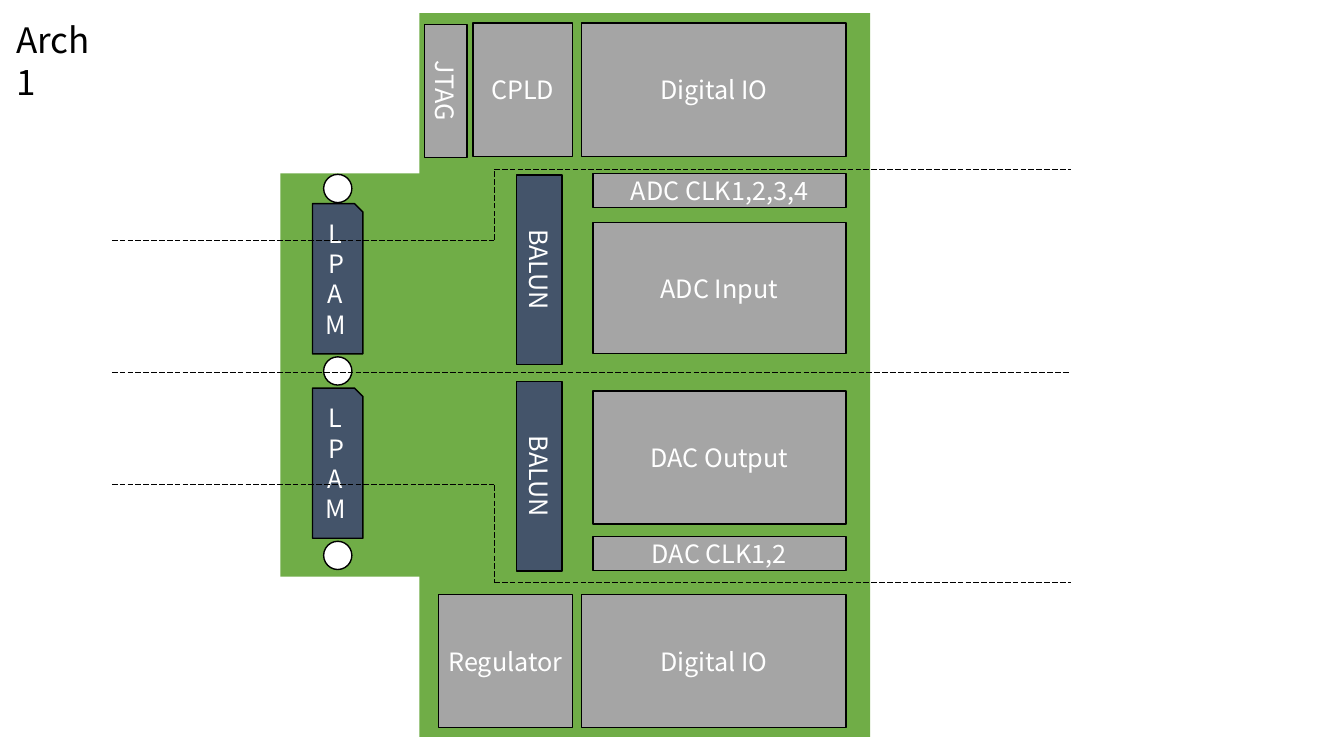
from dataclasses import dataclass

from lxml.etree import SubElement
from pptx import Presentation
from pptx.dml.color import RGBColor
from pptx.enum.dml import MSO_LINE
from pptx.enum.shapes import MSO_CONNECTOR, MSO_SHAPE
from pptx.enum.text import MSO_ANCHOR, PP_ALIGN
from pptx.oxml.ns import qn
from pptx.util import Inches, Pt


@dataclass(frozen=True)
class Theme:
    font: str = "Noto Sans CJK KR"
    black: RGBColor = RGBColor(0, 0, 0)
    white: RGBColor = RGBColor(255, 255, 255)
    board: RGBColor = RGBColor(0x70, 0xAD, 0x47)
    block: RGBColor = RGBColor(0xA5, 0xA5, 0xA5)
    analog: RGBColor = RGBColor(0x44, 0x54, 0x6A)
    title_size: Pt = Pt(25)
    label_size: Pt = Pt(18)
    outline: Pt = Pt(1)
    divider: Pt = Pt(0.5)


theme = Theme()


def add_part(shapes, preset, box, fill, label="", outlined=True, rotation=0):
    """Add a filled part of the board; box is left, top, width, height in inches."""
    part = shapes.add_shape(preset, *map(Inches, box))
    part.shadow.inherit = False
    part.rotation = rotation
    part.fill.solid()
    part.fill.fore_color.rgb = fill
    if outlined:
        part.line.color.rgb = theme.black
        part.line.width = theme.outline
    else:
        part.line.fill.background()
    if label:
        part.text_frame.text = label
        paragraph = part.text_frame.paragraphs[0]
        paragraph.alignment = PP_ALIGN.CENTER
        paragraph.font.name = theme.font
        paragraph.font.size = theme.label_size
        paragraph.font.color.rgb = theme.white
    return part


prs = Presentation()
prs.slide_width, prs.slide_height = Inches(13.33), Inches(7.5)
slide = prs.slides.add_slide(prs.slide_layouts[5])
shapes = slide.shapes

# Title
title = shapes.title
title.left, title.top = Inches(0.06), Inches(0.13)
title.width, title.height = Inches(1.12), Inches(0.95)
title.text_frame.text = "Arch\v1"
title.text_frame.word_wrap = True
title.text_frame.vertical_anchor = MSO_ANCHOR.TOP
heading = title.text_frame.paragraphs[0]
heading.alignment = PP_ALIGN.LEFT
heading.font.name = theme.font
heading.font.size = theme.title_size
heading.font.color.rgb = theme.black

# Board outline
board = shapes.add_group_shape()
for box in ((2.78, 1.72, 1.39, 4), (4.16, 0.13, 4.47, 7.18)):
    add_part(board.shapes, MSO_SHAPE.RECTANGLE, box, theme.board, outlined=False)

# Connectors and mounting holes on the left edge
for top in (2.02, 3.85):
    lpam = add_part(shapes, MSO_SHAPE.SNIP_ROUND_RECTANGLE,
                    (3.1, top, 0.5, 1.49), theme.analog, "LPAM")
    lpam.adjustments[0] = 0
    lpam.adjustments[1] = 0.167
for top in (1.73, 3.54, 5.37):
    add_part(shapes, MSO_SHAPE.OVAL, (3.21, top, 0.28, 0.28), theme.white)

# Upright parts
for label, box, fill in (
    ("BALUN", (4.41, 2.45, 1.88, 0.45), theme.analog),
    ("BALUN", (4.41, 4.5, 1.88, 0.45), theme.analog),
    ("JTAG", (3.76, 0.69, 1.32, 0.42), theme.block),
):
    add_part(shapes, MSO_SHAPE.RECTANGLE, box, fill, label, rotation=90)

# Functional blocks
for label, box in (
    ("CPLD", (4.69, 0.23, 0.99, 1.32)),
    ("Digital IO", (5.77, 0.23, 2.62, 1.32)),
    ("ADC CLK1,2,3,4", (5.88, 1.72, 2.51, 0.34)),
    ("ADC Input", (5.88, 2.21, 2.51, 1.3)),
    ("DAC Output", (5.88, 3.88, 2.51, 1.32)),
    ("DAC CLK1,2", (5.88, 5.32, 2.51, 0.34)),
    ("Regulator", (4.35, 5.9, 1.33, 1.32)),
    ("Digital IO", (5.77, 5.9, 2.62, 1.32)),
):
    add_part(shapes, MSO_SHAPE.RECTANGLE, box, theme.block, label)

# Dashed section dividers: one straight, two stepped
start, step, end = 1.11, 4.9, 10.62
for route in (
    ((start, 2.38), (step, 2.38), (step, 1.68), (end, 1.68)),
    ((start, 3.69), (end, 3.69)),
    ((start, 4.81), (step, 4.81), (step, 5.78), (end, 5.78)),
):
    for (x1, y1), (x2, y2) in zip(route, route[1:]):
        divider = shapes.add_connector(
            MSO_CONNECTOR.STRAIGHT, *map(Inches, (x1, y1, x2, y2)))
        divider.line.color.rgb = theme.black
        divider.line.width = theme.divider
        divider.line.dash_style = MSO_LINE.LONG_DASH
        SubElement(divider._element.spPr, qn("a:effectLst"))

prs.save("out.pptx")
